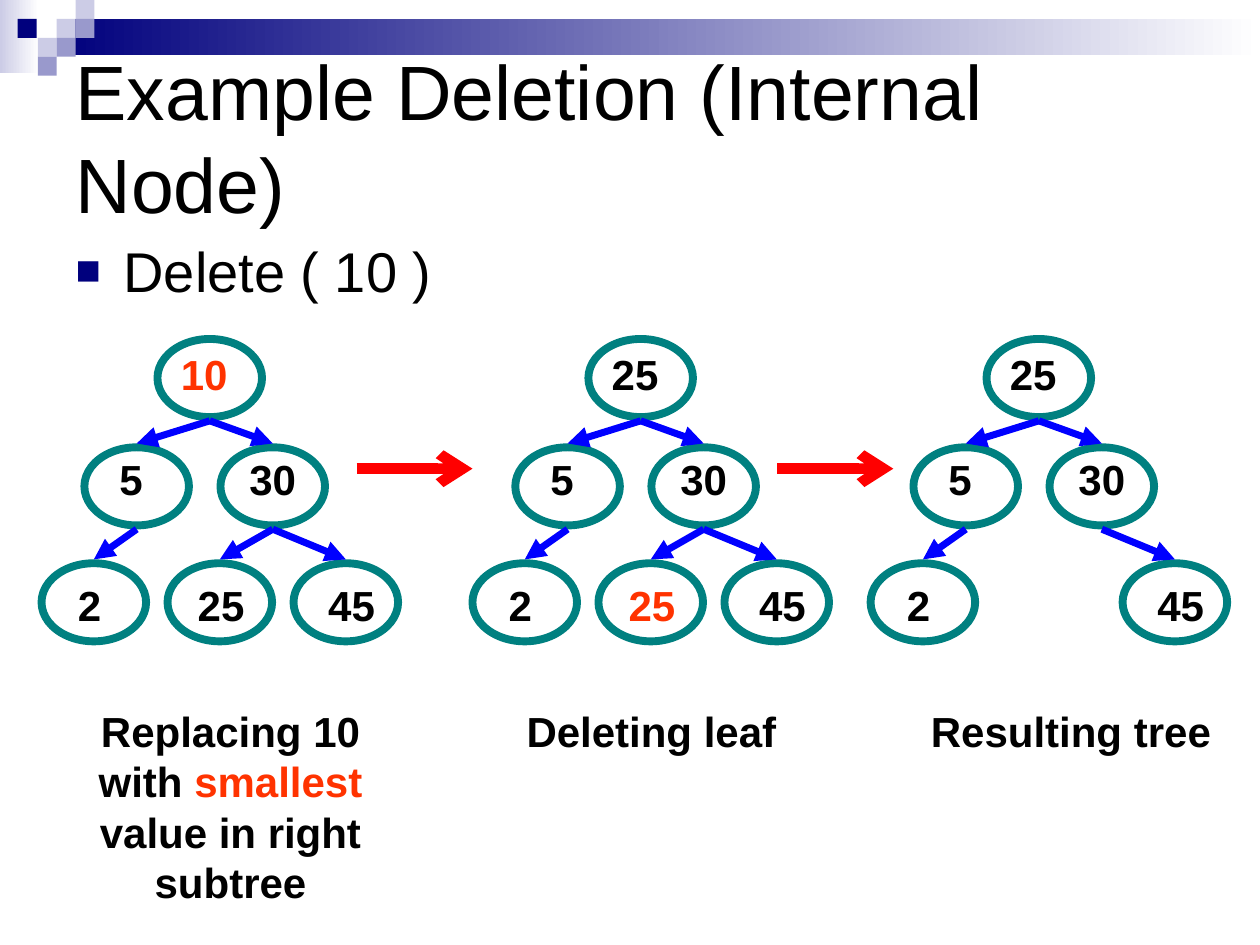
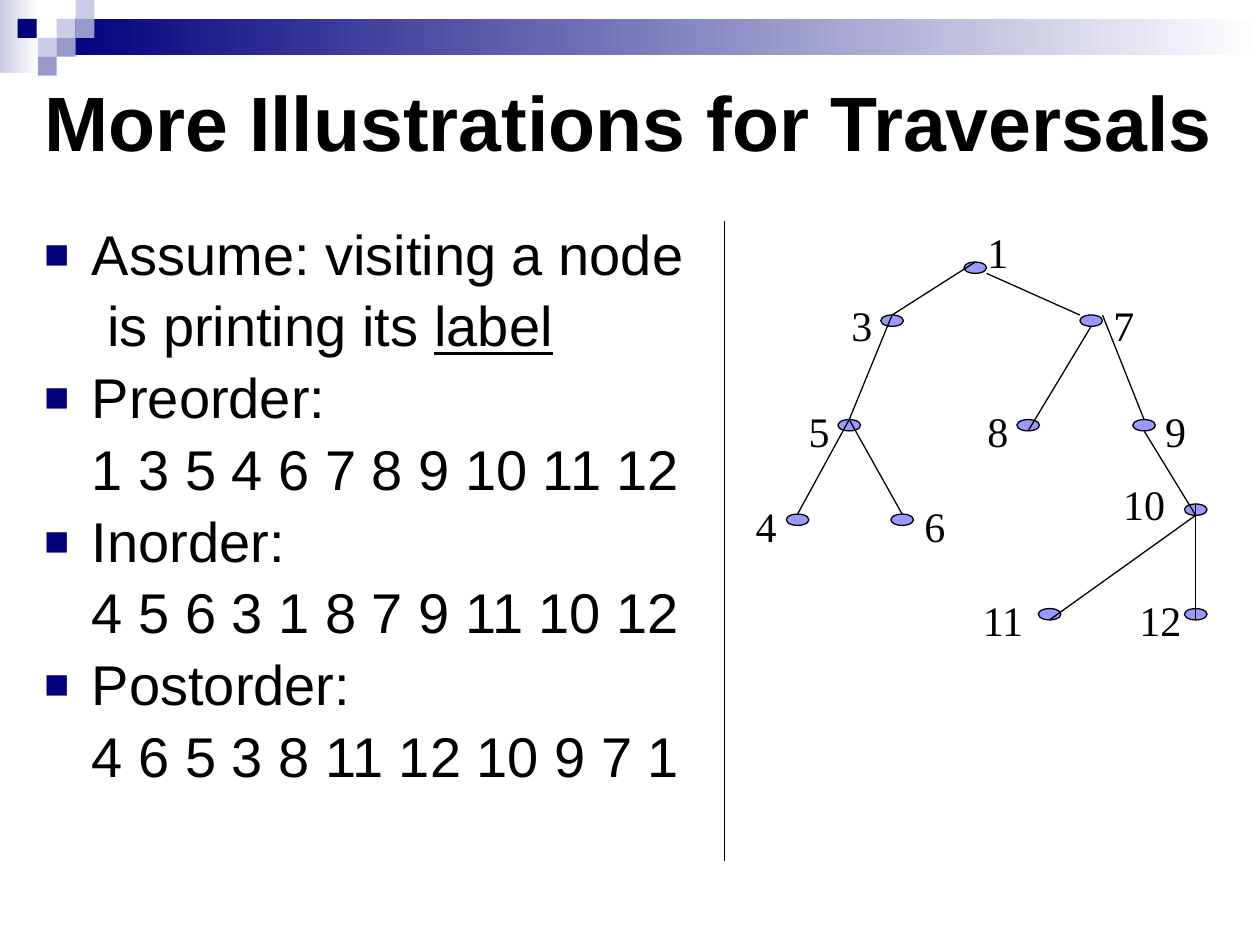
from dataclasses import dataclass

from lxml import etree
from pptx import Presentation
from pptx.dml.color import RGBColor
from pptx.enum.shapes import MSO_CONNECTOR, MSO_SHAPE
from pptx.enum.text import MSO_ANCHOR, MSO_AUTO_SIZE, PP_ALIGN
from pptx.oxml.ns import qn
from pptx.util import Inches, Pt

RECTANGLE, ELLIPSE = MSO_SHAPE.RECTANGLE, MSO_SHAPE.OVAL
STRAIGHT = MSO_CONNECTOR.STRAIGHT
LEFT, CENTER = PP_ALIGN.LEFT, PP_ALIGN.CENTER
TOP_ANCHOR, MIDDLE_ANCHOR = MSO_ANCHOR.TOP, MSO_ANCHOR.MIDDLE
NO_AUTOFIT = MSO_AUTO_SIZE.NONE


@dataclass(frozen=True)
class Theme:
    text: str = "000000"
    paper: str = "FFFFFF"
    navy: str = "00007D"
    lavender: str = "9999CC"
    pale: str = "CCCCE6"
    ring: str = "008080"
    edge: str = "0000FF"
    step: str = "FF0000"
    accent: str = "FF3300"
    dot: str = "9999FF"
    sans: str = "Arial"
    serif: str = "Times New Roman"
    title_size: int = 44
    body_size: int = 32
    label_size: int = 24


def rgb(value):
    return RGBColor.from_string(value)


class Deck:
    """Holds the style and the current slide."""

    def __init__(self, theme):
        self.theme = theme
        self.presentation = Presentation()
        self.presentation.slide_width = Inches(10)
        self.presentation.slide_height = Inches(7.5)

    def new_slide(self):
        layout = self.presentation.slide_layouts[1]
        self.slide = self.presentation.slides.add_slide(layout)
        self.header_band()
        # Placeholders go in front of the band
        for placeholder in list(self.slide.placeholders):
            self.slide.shapes.element.append(placeholder.element)

    def header_band(self):
        t = self.theme
        self.shape(RECTANGLE, (0, 0, 0.31, 0.58), gradient=(t.pale, t.paper))
        self.shape(RECTANGLE, (0.46, 0.15, 9.54, 0.29), gradient=(t.navy, t.paper))
        squares = [(0.45, 0.15, t.pale), (0.6, 0, t.pale), (0.6, 0.15, t.lavender),
                   (0.3, 0.3, t.pale), (0.14, 0.15, t.navy),
                   (0.45, 0.3, t.lavender), (0.3, 0.45, t.lavender)]
        for left, top, color in squares:
            self.shape(RECTANGLE, (left, top, 0.15, 0.15), fill=color)

    def shape(self, kind, box, fill=None, gradient=None, line=None, width=0.75):
        shape = self.slide.shapes.add_shape(kind, *map(Inches, box))
        shape.shadow.inherit = False
        if gradient:
            shape.fill.gradient()
            shape.fill.gradient_angle = 0
            for stop, color in zip(shape.fill.gradient_stops, gradient):
                stop.color.rgb = rgb(color)
        elif fill:
            shape.fill.solid()
            shape.fill.fore_color.rgb = rgb(fill)
        else:
            shape.fill.background()
        if line:
            shape.line.color.rgb = rgb(line)
            shape.line.width = Pt(width)
        else:
            shape.line.fill.background()

    def line(self, start, end, color, width=0.75, head=None):
        line = self.slide.shapes.add_connector(STRAIGHT, *map(Inches, (*start, *end)))
        line.line.color.rgb = rgb(color)
        line.line.width = Pt(width)
        properties = line.element.spPr
        if head:
            etree.SubElement(properties.find(qn("a:ln")), qn("a:tailEnd"), type=head)
        etree.SubElement(properties, qn("a:effectLst"))

    def style(self, paragraph, size, font=None, color=None, bold=False):
        paragraph.font.name = font or self.theme.sans
        paragraph.font.size = Pt(size)
        paragraph.font.bold = bold
        paragraph.font.color.rgb = rgb(color or self.theme.text)

    def place(self, placeholder, box, anchor):
        placeholder.left, placeholder.top, placeholder.width, placeholder.height = map(Inches, box)
        frame = placeholder.text_frame
        frame.word_wrap = True
        frame.auto_size = NO_AUTOFIT
        frame.vertical_anchor = anchor
        return frame

    def title(self, text, box, bold=False):
        frame = self.place(self.slide.shapes.title, box, MIDDLE_ANCHOR)
        frame.text = text
        frame.paragraphs[0].alignment = LEFT
        self.style(frame.paragraphs[0], self.theme.title_size, bold=bold)

    def body(self, items, box, line_spacing=1.0):
        """Each item is (runs, indent); an indent of None makes a bullet."""
        frame = self.place(self.slide.placeholders[1], box, TOP_ANCHOR)
        for index, (runs, indent) in enumerate(items):
            paragraph = frame.paragraphs[0] if index == 0 else frame.add_paragraph()
            self.bullet(paragraph, indent)
            paragraph.line_spacing = line_spacing
            paragraph.space_before = Pt(6.4 if index else 0)
            self.style(paragraph, self.theme.body_size)
            for text, underlined in runs:
                run = paragraph.add_run()
                run.text = text
                if underlined:
                    run.font.underline = True

    def bullet(self, paragraph, indent):
        properties = paragraph._p.get_or_add_pPr()
        if indent is not None:
            properties.set("marL", str(Inches(indent)))
            properties.set("indent", "0")
            etree.SubElement(properties, qn("a:buNone"))
            return
        properties.set("marL", str(Inches(0.38)))
        properties.set("indent", str(-Inches(0.38)))
        color = etree.SubElement(properties, qn("a:buClr"))
        etree.SubElement(color, qn("a:srgbClr"), val=self.theme.navy)
        etree.SubElement(properties, qn("a:buSzPct"), val="75000")
        etree.SubElement(properties, qn("a:buFont"), typeface=self.theme.sans)
        etree.SubElement(properties, qn("a:buChar"), char="■")

    def label(self, runs, box, font=None, bold=False, wrap=False):
        """Each run is (text, color); a color of None is the text color."""
        frame = self.slide.shapes.add_textbox(*map(Inches, box)).text_frame
        frame.word_wrap = wrap
        paragraph = frame.paragraphs[0]
        paragraph.alignment = CENTER
        self.style(paragraph, self.theme.label_size, font, bold=bold)
        for text, color in runs:
            run = paragraph.add_run()
            run.text = text
            if color:
                run.font.color.rgb = rgb(color)


# Search tree: place -> ring left, ring top, label left, label top, label width
RING_W, RING_H, RING_GAP = 0.83, 0.62, 0.03
SEARCH_TREE = {
    "root": (1.25, 2.69, 1.33, 2.72, 0.58),
    "left": (0.67, 3.55, 0.83, 3.55, 0.42),
    "right": (1.75, 3.55, 1.83, 3.55, 0.67),
    "left leaf": (0.33, 4.47, 0.5, 4.55, 0.42),
    "middle leaf": (1.33, 4.47, 1.42, 4.55, 0.67),
    "right leaf": (2.33, 4.47, 2.5, 4.55, 0.58),
}
SEARCH_EDGES = [("left", "left leaf"), ("right", "middle leaf"), ("root", "right"),
                ("root", "left"), ("right", "right leaf")]


def search_tree(deck, shift, values, marked=None):
    theme = deck.theme
    for place in values:
        left, top = SEARCH_TREE[place][:2]
        deck.shape(ELLIPSE, (left + shift, top, RING_W, RING_H), line=theme.ring, width=4.5)
    for parent, child in SEARCH_EDGES:
        if child in values:
            (x1, y1), (x2, y2) = SEARCH_TREE[parent][:2], SEARCH_TREE[child][:2]
            center = shift + RING_W / 2
            deck.line((x1 + center, y1 + RING_H + RING_GAP), (x2 + center, y2 - RING_GAP),
                      theme.edge, 4, "triangle")
    for place, value in values.items():
        left, top, width = SEARCH_TREE[place][2:]
        color = theme.accent if place == marked else None
        deck.label([(value, color)], (left + shift, top, width, 0.5), bold=True)


def deletion_slide(deck):
    theme = deck.theme
    deck.new_slide()
    deck.title("Example Deletion (Internal Node)", (0.5, 0.33, 9, 1.5))
    deck.body([([("Delete ( 10 )", False)], None)], (0.5, 1.83, 9, 4.25))

    # Three stages of the deletion
    before = dict(zip(SEARCH_TREE, ("10", "5", "30", "2", "25", "45")))
    replaced = {**before, "root": "25"}
    result = {place: value for place, value in replaced.items() if place != "middle leaf"}
    search_tree(deck, 0, before, "root")
    search_tree(deck, 3.42, replaced, "middle leaf")
    search_tree(deck, 6.58, result)
    for start in (2.83, 6.17):
        deck.line((start, 3.72), (start + 0.92, 3.72), theme.step, 6, "arrow")

    # Captions
    captions = [
        (0.58, 1.7, [("Replacing 10 with ", None), ("smallest", theme.accent),
                     (" value in right subtree", None)]),
        (3.92, 0.5, [("Deleting leaf", None)]),
        (7.25, 0.5, [("Resulting tree", None)]),
    ]
    for left, height, runs in captions:
        deck.label(runs, (left, 5.55, 2.5, height), bold=True, wrap=True)


# Traversal tree: node -> dot left, dot top, label center, label top
DOT_W, DOT_H, LABEL_W = 0.18, 0.09, 0.62
TRAVERSAL_TREE = {
    1: (7.65, 2.08, 7.92, 1.75),
    3: (6.99, 2.5, 6.84, 2.33),
    7: (8.57, 2.5, 8.92, 2.33),
    5: (6.65, 3.33, 6.5, 3.17),
    8: (8.07, 3.33, 7.92, 3.17),
    9: (8.99, 3.33, 9.33, 3.17),
    10: (9.4, 4, 9.08, 3.75),
    4: (6.24, 4.08, 6.08, 3.92),
    6: (7.07, 4.08, 7.42, 3.92),
    11: (8.24, 4.83, 7.96, 4.67),
    12: (9.4, 4.83, 9.21, 4.67),
}
# Points on a dot, as shares of its width and height
TOP, BOTTOM = (0.5, 0), (0.5, 1)
TOP_LEFT, TOP_RIGHT, BOTTOM_RIGHT = (0, 0), (1, 0), (1, 1)
TRAVERSAL_EDGES = [
    (1, TOP, 3, TOP), (1, BOTTOM_RIGHT, 7, TOP_LEFT), (3, TOP, 5, TOP),
    (7, BOTTOM, 8, BOTTOM), (7, TOP_RIGHT, 9, TOP), (5, TOP, 4, TOP), (5, TOP, 6, TOP),
    (9, BOTTOM, 10, BOTTOM), (10, BOTTOM, 11, BOTTOM), (10, TOP, 12, BOTTOM),
]


def dot_point(node, share):
    left, top = TRAVERSAL_TREE[node][:2]
    return left + share[0] * DOT_W, top + share[1] * DOT_H


def traversal_slide(deck):
    theme = deck.theme
    deck.new_slide()
    deck.title("More Illustrations for Traversals", (0.25, 0.5, 9.75, 0.91), bold=True)

    # Orders of visiting
    items = [([("Assume: visiting a node", False)], None),
             ([("is printing its ", False), ("label", True)], 0.5)]
    orders = {"Preorder:": "1 3 5 4 6 7 8 9 10 11 12",
              "Inorder:": "4 5 6 3 1 8 7 9 11 10 12",
              "Postorder:": "4 6 5 3 8 11 12 10 9 7 1"}
    for name, sequence in orders.items():
        items += [([(name, False)], None), ([(sequence, False)], 0.38)]
    deck.body(items, (0.25, 1.75, 8.5, 4.92), line_spacing=0.9)

    # Tree and divider
    for node, (left, top, center, label_top) in TRAVERSAL_TREE.items():
        deck.shape(ELLIPSE, (left, top, DOT_W, DOT_H), fill=theme.dot, line=theme.text)
        deck.label([(str(node), None)], (center - LABEL_W / 2, label_top, LABEL_W, 0.5),
                   font=theme.serif)
    for parent, start, child, end in TRAVERSAL_EDGES:
        deck.line(dot_point(parent, start), dot_point(child, end), theme.text)
    deck.line((5.75, 1.75), (5.75, 6.83), theme.text)


def main():
    deck = Deck(Theme())
    deletion_slide(deck)
    traversal_slide(deck)
    deck.presentation.save("out.pptx")


if __name__ == "__main__":
    main()
